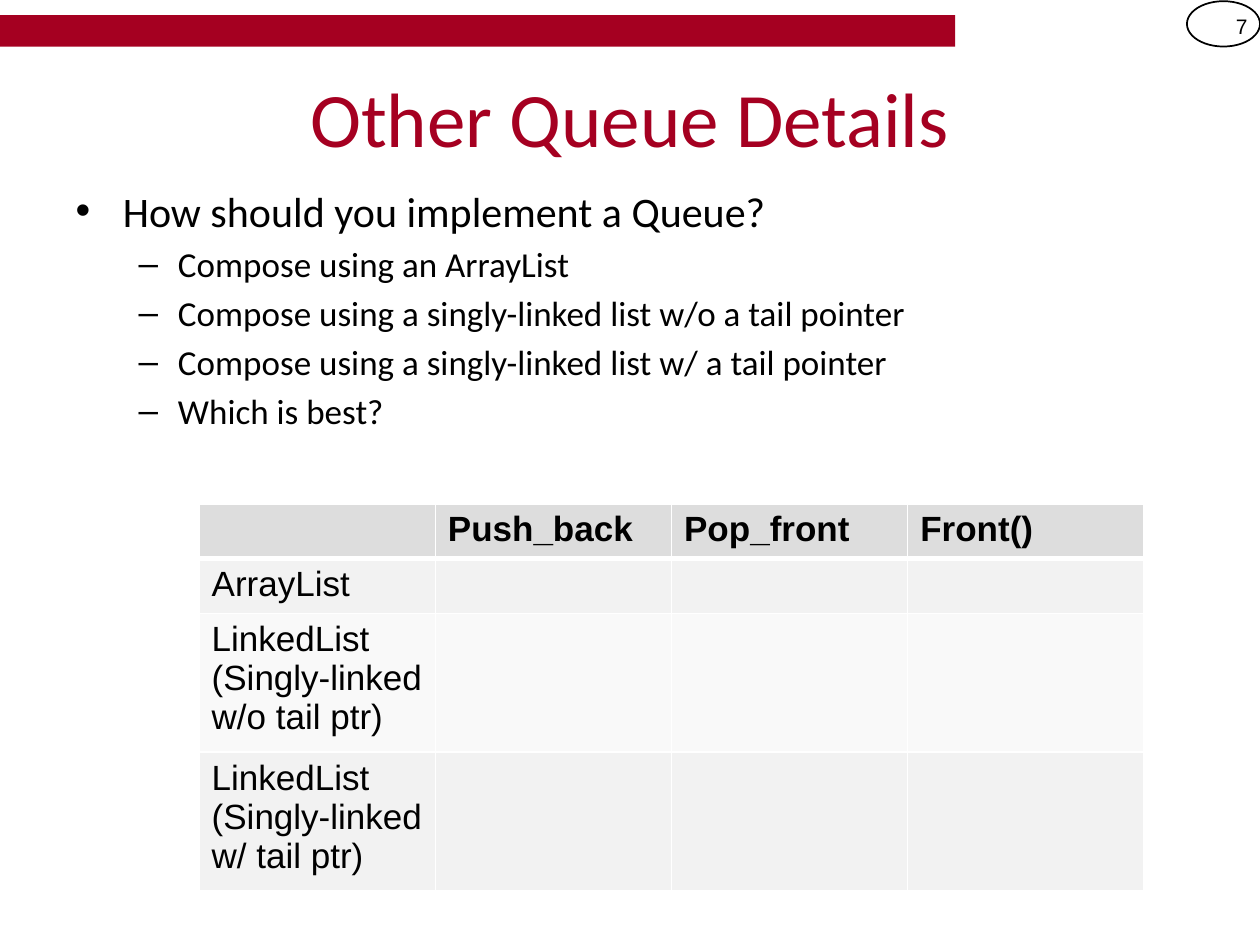
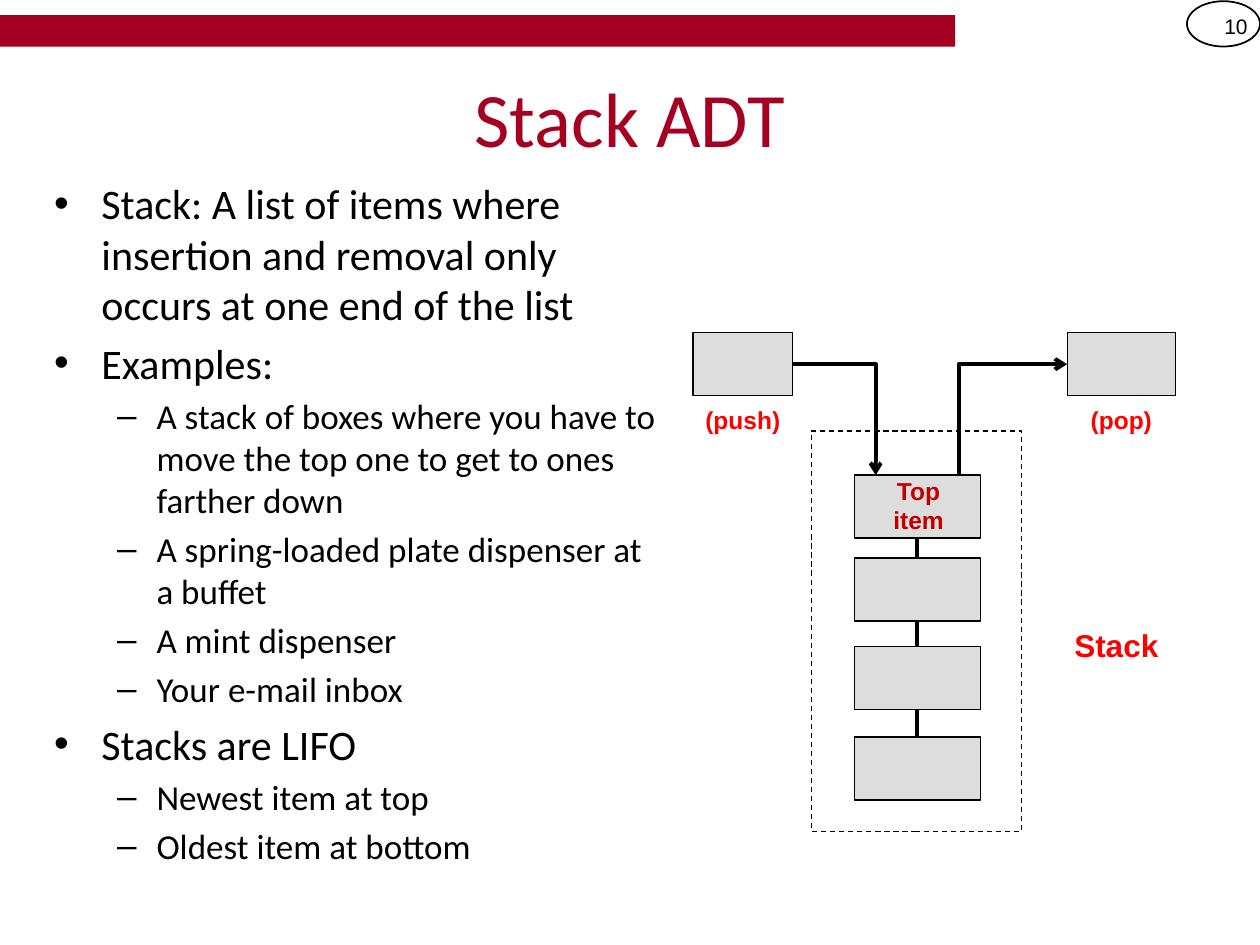
import pptx
import pptx.dml.color
import pptx.enum.dml
import pptx.enum.shapes
import pptx.enum.text
import pptx.oxml.ns
import pptx.util
import lxml.etree

PX = 9144  # EMU per px, 100 px to the inch
CARDINAL, BLACK, WHITE = "A50021", "000000", "FFFFFF"
GRAY, RED, DARK_RED = "DDDDDD", "FF0000", "C00000"
HEADING_FONT, LABEL_FONT = "Calibri", "Arial"

color = pptx.dml.color.RGBColor.from_string
Pt = pptx.util.Pt
SHAPE = pptx.enum.shapes.MSO_SHAPE
ALIGN = pptx.enum.text.PP_ALIGN
qn = pptx.oxml.ns.qn


def add_box(slide, kind, bounds, fill=None, line_width=None, dash=None):
    shape = slide.shapes.add_shape(kind, *[length * PX for length in bounds])
    shape.shadow.inherit = False
    if fill:
        shape.fill.solid()
        shape.fill.fore_color.rgb = color(fill)
    else:
        shape.fill.background()
    if line_width:
        shape.line.color.rgb = color(BLACK)
        shape.line.width = Pt(line_width)
        shape.line.dash_style = dash
    else:
        shape.line.fill.background()


def add_label(slide, bounds, text, size, text_color, bold=True, align=ALIGN.CENTER):
    frame = slide.shapes.add_textbox(*[length * PX for length in bounds]).text_frame
    frame.word_wrap = True
    frame.vertical_anchor = pptx.enum.text.MSO_ANCHOR.MIDDLE
    if align == ALIGN.CENTER:
        frame.margin_left = frame.margin_right = 0
    paragraph = frame.paragraphs[0]
    paragraph.alignment = align
    for index, line in enumerate(text.split("\n")):
        if index:
            paragraph.add_line_break()
        run = paragraph.add_run()
        run.text = line
        run.font.name = LABEL_FONT
        run.font.size = Pt(size)
        run.font.bold = bold
        run.font.color.rgb = color(text_color)


presentation = pptx.Presentation()
presentation.slide_width = 1000 * PX
presentation.slide_height = 750 * PX

# Number, title, body bounds and (level, text) list of each slide
contents = [
    ("7", "Other Queue Details", (50, 142, 900, 495), [
        (0, "How should you implement a Queue?"),
        (1, "Compose using an ArrayList"),
        (1, "Compose using a singly-linked list w/o a tail pointer"),
        (1, "Compose using a singly-linked list w/ a tail pointer"),
        (1, "Which is best?"),
    ]),
    ("10", "Stack ADT", (33, 136, 500, 567), [
        (0, "Stack: A list of items where insertion and removal only "
            "occurs at one end of the list"),
        (0, "Examples:"),
        (1, "A stack of boxes where you have to move the top one to get to ones farther down"),
        (1, "A spring-loaded plate dispenser at a buffet"),
        (1, "A mint dispenser"),
        (1, "Your e-mail inbox"),
        (0, "Stacks are LIFO"),
        (1, "Newest item at top"),
        (1, "Oldest item at bottom"),
    ]),
]

for number, title, body_bounds, items in contents:
    slide = presentation.slides.add_slide(presentation.slide_layouts[1])

    # Band and numbered badge
    add_box(slide, SHAPE.RECTANGLE, (0, 12, 758, 25), CARDINAL)
    add_box(slide, SHAPE.OVAL, (942, 1, 58, 36), line_width=1)
    add_label(slide, (942, 1, 58, 40), number, 12, BLACK, False, ALIGN.RIGHT)

    # Title and list
    body = slide.placeholders[1]
    for placeholder, bounds in ((slide.shapes.title, (50, 30, 900, 125)), (body, body_bounds)):
        (placeholder.left, placeholder.top,
         placeholder.width, placeholder.height) = [length * PX for length in bounds]
        placeholder.text_frame.auto_size = pptx.enum.text.MSO_AUTO_SIZE.NONE
    run = slide.shapes.title.text_frame.paragraphs[0].add_run()
    run.text = title
    run.font.name = HEADING_FONT
    run.font.size = Pt(44)
    run.font.color.rgb = color(CARDINAL)
    frame = body.text_frame
    for index, (level, text) in enumerate(items):
        paragraph = frame.add_paragraph() if index else frame.paragraphs[0]
        paragraph.level = level
        if index == 0:
            paragraph.space_before = Pt(0)
        run = paragraph.add_run()
        run.text = text
        run.font.name = HEADING_FONT
        run.font.size = Pt((24, 20)[level])
        run.font.color.rgb = color(BLACK)

queue_slide, stack_slide = presentation.slides

# Comparison table
rows = [
    (GRAY, ["", "Push_back", "Pop_front", "Front()"]),
    ("F2F2F2", ["ArrayList"]),
    ("F9F9F9", ["LinkedList (Singly-linked w/o tail ptr)"]),
    ("F2F2F2", ["LinkedList (Singly-linked w/ tail ptr)"]),
]
table_frame = queue_slide.shapes.add_table(
    len(rows), 4, 158 * PX, 400 * PX, 750 * PX, 307 * PX)
table = table_frame.table
for row_index, (fill, texts) in enumerate(rows):
    table.rows[row_index].height = 41 * PX
    for cell in table.rows[row_index].cells:
        cell.fill.solid()
        cell.fill.fore_color.rgb = color(fill)
    for column_index, text in enumerate(texts):
        if text:
            run = table.cell(row_index, column_index).text_frame.paragraphs[0].add_run()
            run.text = text
            run.font.name = LABEL_FONT
            run.font.size = Pt(20)
            run.font.bold = row_index == 0
            run.font.color.rgb = color(BLACK)
table_frame.height = 307 * PX  # the rows grow with their text

# Thick rule under the table header
for cell in table.rows[0].cells:
    border = lxml.etree.Element(qn("a:lnB"), w=str(Pt(3)))
    border_fill = lxml.etree.SubElement(border, qn("a:solidFill"))
    lxml.etree.SubElement(border_fill, qn("a:srgbClr"), val=WHITE)
    cell._tc.get_or_add_tcPr().insert(0, border)

# Stack items, then the pushed and popped items
item_tops = [377, 443, 513, 585]
item_bounds = [(678, top, 100, 50) for top in item_tops]
item_bounds += [(550, 264, 79, 50), (847, 264, 86, 50)]
for bounds in item_bounds:
    add_box(stack_slide, SHAPE.RECTANGLE, bounds, GRAY, 0.75)
add_box(stack_slide, SHAPE.RECTANGLE, (644, 342, 167, 318), line_width=0.75,
        dash=pptx.enum.dml.MSO_LINE.DASH)

# Links between items, and bent arrows for push and pop
links = [((728, top + 50, 728, next_top), None)
         for top, next_top in zip(item_tops, item_tops[1:])]
links += [((629, 289, 695, 377), "a:tailEnd"), ((847, 289, 761, 377), "a:headEnd")]
CONNECTOR = pptx.enum.shapes.MSO_CONNECTOR
for ends, arrow_end in links:
    connector = stack_slide.shapes.add_connector(
        CONNECTOR.ELBOW if arrow_end else CONNECTOR.STRAIGHT,
        *[length * PX for length in ends])
    connector.line.color.rgb = color(BLACK)
    connector.line.width = Pt(2.25)
    properties = connector._element.spPr
    lxml.etree.SubElement(properties, qn("a:effectLst"))
    if arrow_end:
        properties.find(qn("a:prstGeom")).set("prst", "bentConnector2")
        lxml.etree.SubElement(properties.find(qn("a:ln")), qn(arrow_end), type="arrow")

# Diagram labels
for bounds, text, size, text_color in [
    ((847, 314, 86, 38), "(pop)", 14, RED),
    ((550, 314, 79, 38), "(push)", 14, RED),
    ((811, 493, 150, 38), "Stack", 18, RED),
    ((683, 382, 92, 38), "Top\nitem", 14, DARK_RED),
]:
    add_label(stack_slide, bounds, text, size, text_color)

presentation.save("out.pptx")
